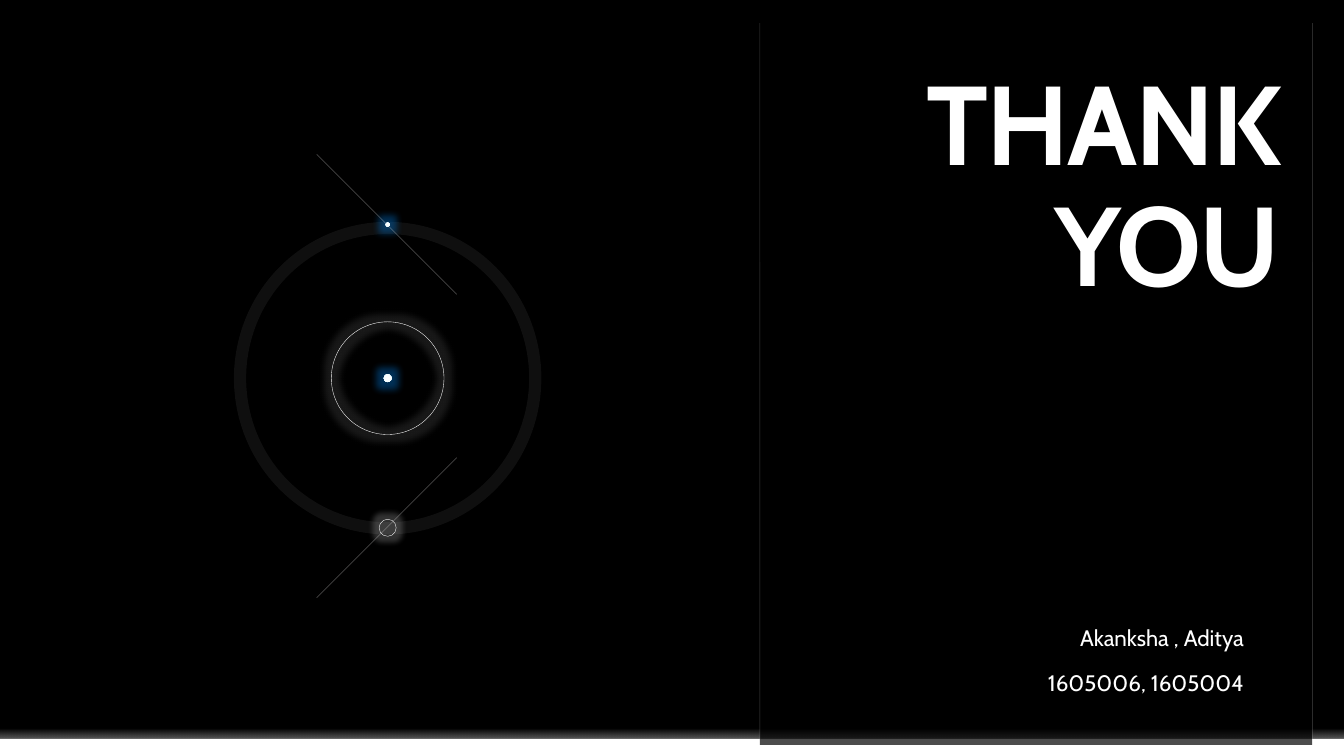
from lxml import etree
from pptx import Presentation
from pptx.dml.color import RGBColor
from pptx.enum.shapes import MSO_CONNECTOR, MSO_SHAPE
from pptx.enum.text import MSO_ANCHOR, MSO_AUTO_SIZE, PP_ALIGN
from pptx.oxml import parse_xml
from pptx.oxml.ns import nsdecls, qn
from pptx.util import Cm, Pt

RECT, OVAL = MSO_SHAPE.RECTANGLE, MSO_SHAPE.OVAL
STRAIGHT = MSO_CONNECTOR.STRAIGHT
RIGHT = PP_ALIGN.RIGHT
TOP, BOTTOM = MSO_ANCHOR.TOP, MSO_ANCHOR.BOTTOM
NO_FIT = MSO_AUTO_SIZE.NONE

COLORS = {"black": "000000", "white": "FFFFFF", "edge": "F2F2F2", "ray": "E7E6E6",
          "ice": "F7FFFF", "sky": "C1E4FF", "blue": "0078D7"}
FONT = "Cabin"
SLIDE_W, SLIDE_H = 33.87, 19.05
FLOOR_TOP, FLOOR_H = 18.62, 0.43
PANEL_LEFT, PANEL_RIGHT, PANEL_TOP = 19.15, 33.07, 0.58
HEADER_H, LOWER_H = 6.02, 12.17
ORBIT_X, ORBIT_Y = 9.77, 9.53
RAY_LEFT, RAY_RIGHT = 7.98, 11.51
TEXT_LEFT = 19.89


def rgb(name):
    """Return the named colour."""
    return RGBColor.from_string(COLORS[name])


def set_alpha(element, percent):
    """Make every colour in the element partly transparent."""
    for color in element.iter(qn("a:srgbClr")):
        etree.SubElement(color, qn("a:alpha")).set("val", str(percent * 1000))


def add_plain(slide, kind, left, top, width, height):
    """Add a shape without fill, line or shadow."""
    shape = slide.shapes.add_shape(kind, Cm(left), Cm(top), Cm(width), Cm(height))
    shape.shadow.inherit = False
    shape.fill.background()
    shape.line.fill.background()
    return shape


def add_block(slide, left, top, width, height, color, alpha=100):
    """Add a filled rectangle."""
    block = add_plain(slide, RECT, left, top, width, height)
    block.fill.solid()
    block.fill.fore_color.rgb = rgb(color)
    set_alpha(block._element.spPr, alpha)


def add_oval(slide, center_y, width, height):
    """Add an ellipse centred on the orbit axis."""
    return add_plain(slide, OVAL, ORBIT_X - width / 2, center_y - height / 2, width, height)


def add_ring(slide, center_y, width, height, weight, alpha=100):
    """Add a white outlined ellipse."""
    ring = add_oval(slide, center_y, width, height)
    ring.line.color.rgb = rgb("white")
    ring.line.width = Pt(weight)
    set_alpha(ring._element.spPr, alpha)
    return ring


def set_gradient(shape, stops, direction):
    """Fill a shape with (position, colour, alpha) stops."""
    stop_xml = "".join(
        f'<a:gs pos="{position * 1000}"><a:srgbClr val="{COLORS[color]}">'
        f'<a:alpha val="{alpha * 1000}"/></a:srgbClr></a:gs>'
        for position, color, alpha in stops)
    gradient = parse_xml(f'<a:gradFill {nsdecls("a")} rotWithShape="1">'
                         f"<a:gsLst>{stop_xml}</a:gsLst>{direction}</a:gradFill>")
    properties = shape._element.spPr
    properties.replace(properties.find(qn("a:noFill")), gradient)


def add_dot(slide, center_y, size):
    """Add a bright dot with a radial gradient."""
    dot = add_oval(slide, center_y, size, size)
    set_gradient(dot, [(0, "white", 100), (65, "ice", 100), (70, "sky", 100)],
                 '<a:path path="circle"><a:fillToRect l="50000" t="50000" '
                 'r="50000" b="50000"/></a:path>')
    return dot


def add_glow(shape, color, radius, alpha):
    """Surround a shape with a soft glow."""
    effects = shape._element.spPr.find(qn("a:effectLst"))
    glow = etree.SubElement(effects, qn("a:glow"), rad=str(Pt(radius)))
    etree.SubElement(glow, qn("a:srgbClr"), val=COLORS[color])
    set_alpha(glow, alpha)


def add_line(slide, start, end, color, weight, alpha):
    """Add a thin translucent line."""
    line = slide.shapes.add_connector(STRAIGHT, *(Cm(value) for value in start + end))
    line.line.color.rgb = rgb(color)
    line.line.width = Pt(weight)
    properties = line._element.spPr
    set_alpha(properties, alpha)
    etree.SubElement(properties, qn("a:effectLst"))


def add_header(slide):
    """Add the upper part of the panel."""
    add_block(slide, PANEL_LEFT, PANEL_TOP, PANEL_RIGHT - PANEL_LEFT, HEADER_H, "black", 94)


def add_edges(slide):
    """Add the panel edges, doubled on the right."""
    for x in (PANEL_RIGHT, PANEL_RIGHT, PANEL_LEFT):
        add_line(slide, (x, PANEL_TOP), (x, FLOOR_TOP), "edge", 0.25, 15)


def add_orbit(slide):
    """Add the rings, dots and rays on the left."""
    add_glow(add_ring(slide, ORBIT_Y, 2.84, 2.84, 0.25), "white", 10, 10)
    add_glow(add_dot(slide, ORBIT_Y, 0.2), "blue", 10, 40)
    add_ring(slide, ORBIT_Y, 7.44, 7.57, 8.75, 6)
    add_glow(add_dot(slide, 5.66, 0.1), "blue", 10, 40)
    add_glow(add_ring(slide, 13.3, 0.43, 0.43, 0.25), "white", 8, 20)
    add_line(slide, (RAY_LEFT, 15.06), (RAY_RIGHT, 11.53), "ray", 0.5, 30)
    add_line(slide, (RAY_RIGHT, 7.42), (RAY_LEFT, 3.89), "ray", 0.5, 30)


def fill_placeholder(holder, text, top, width, height, size, anchor=TOP):
    """Place and format a placeholder; return its run."""
    holder.left, holder.top = Cm(TEXT_LEFT), Cm(top)
    holder.width, holder.height = Cm(width), Cm(height)
    frame = holder.text_frame
    frame.word_wrap = True
    frame.auto_size = NO_FIT
    frame.vertical_anchor = anchor
    frame.margin_left = frame.margin_top = frame.margin_right = frame.margin_bottom = 0
    paragraph = frame.paragraphs[0]
    paragraph.alignment = RIGHT
    paragraph.line_spacing = 0.9
    paragraph.space_before = Pt(0)
    properties = paragraph._p.get_or_add_pPr()
    properties.set("marL", "0")
    properties.set("indent", "0")
    etree.SubElement(properties, qn("a:buNone"))
    run = paragraph.add_run()
    run.text = text
    run.font.name = FONT
    run.font.size = Pt(size)
    run.font.color.rgb = rgb("white")
    return run


def main():
    """Build the closing slide."""
    deck = Presentation()
    deck.slide_width, deck.slide_height = Cm(SLIDE_W), Cm(SLIDE_H)
    slide = deck.slides.add_slide(deck.slide_layouts[3])
    slide.background.fill.solid()
    slide.background.fill.fore_color.rgb = rgb("black")
    title, names, numbers = list(slide.placeholders)

    horizon = add_plain(slide, RECT, 0, FLOOR_TOP - FLOOR_H, SLIDE_W, FLOOR_H)
    set_gradient(horizon, [(40, "white", 0), (100, "white", 35)], '<a:lin ang="5400000"/>')
    add_block(slide, 0, FLOOR_TOP, SLIDE_W, FLOOR_H, "white")
    add_block(slide, PANEL_LEFT, PANEL_TOP + HEADER_H, PANEL_RIGHT - PANEL_LEFT, LOWER_H,
              "black", 70)
    add_header(slide)
    add_edges(slide)
    add_orbit(slide)
    add_header(slide)

    thanks = fill_placeholder(title, "THANK YOU", 1.8, 12.37, 6.02, 80, BOTTOM)
    thanks.font.bold = True
    thanks.font._element.set("spc", "-150")
    fill_placeholder(names, "Akanksha , Aditya", 15.8, 11.46, 0.76, 16)
    fill_placeholder(numbers, "1605006, 1605004", 16.94, 11.46, 0.71, 16)
    for holder in (title, names, numbers):
        slide.shapes._spTree.append(holder._element)
    add_edges(slide)
    deck.save("out.pptx")


if __name__ == "__main__":
    main()
